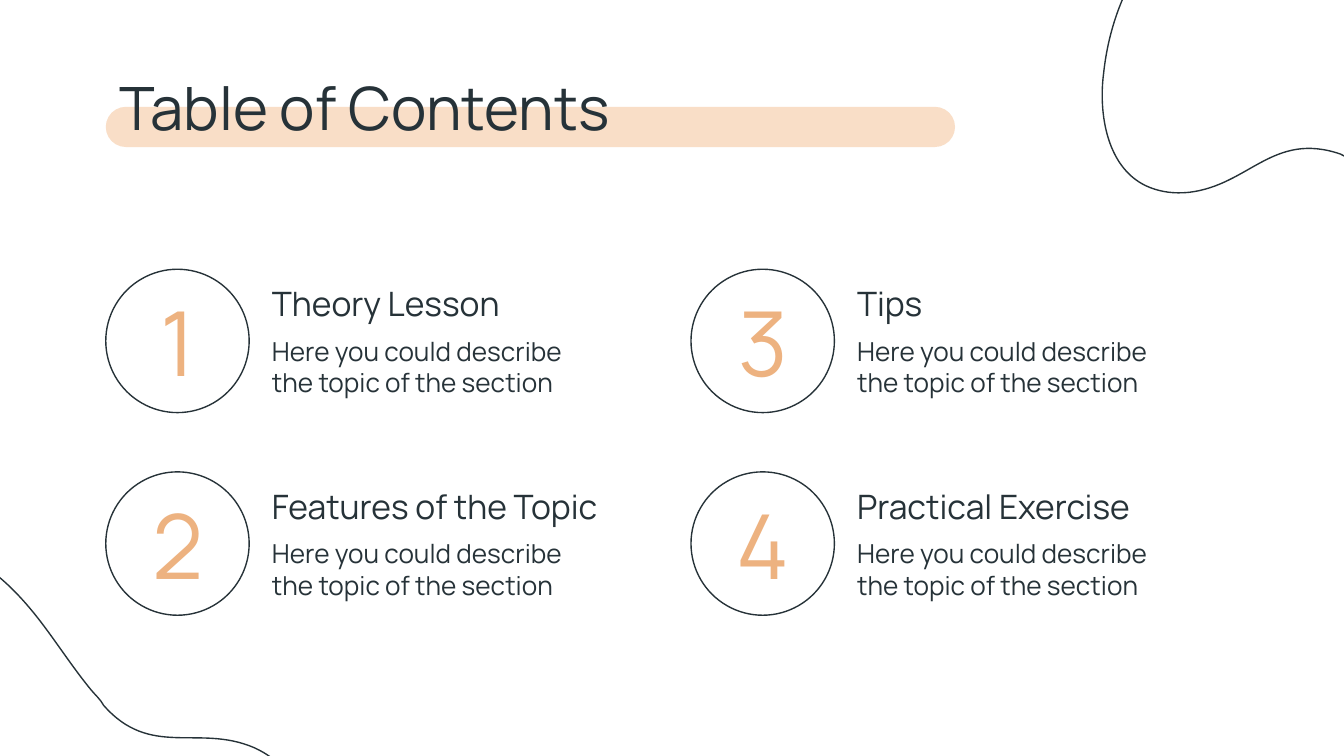
from lxml.etree import SubElement
from pptx import Presentation
from pptx.dml.color import RGBColor
from pptx.enum.shapes import MSO_SHAPE
from pptx.enum.text import MSO_ANCHOR, MSO_AUTO_SIZE, PP_ALIGN
from pptx.oxml.ns import qn
from pptx.util import Cm, Pt

# Content
TITLE = "Table of Contents"
DESCRIPTION = ["Here you could describe", "the topic of the section"]
SECTIONS = ["Theory Lesson", "Features of the Topic", "Tips", "Practical Exercise"]

# Style
FONT = "Manrope"
INK, PEACH, PALE_PEACH = "263238", "EDB280", "F9DEC7"

# Grid, in centimetres: two columns filled downwards
LEFT, TOP = 2.0, 5.09
COLUMN_STEP, ROW_STEP = 11.06, 3.83
ROWS = 2
CIRCLE = 2.71
TEXT_LEFT, TEXT_WIDTH = 2.89, 7.44

# One wavy outline, in hundredths of an inch within its own frame:
# a start point, then cubic curves (two control points and an end point)
WAVE_SIZE = (442, 325)
WAVE_START = (354, 1)
WAVE_CURVES = [
    [(345, 1), (336, 3), (326, 8)],
    [(286, 29), (284, 73), (231, 75)],
    [(226, 74), (221, 75), (215, 75)],
    [(191, 75), (167, 72), (145, 72)],
    [(117, 72), (90, 76), (61, 93)],
    [(11, 120), (0, 160), (11, 206)],
    [(27, 288), (97, 325), (178, 325)],
    [(212, 325), (247, 318), (282, 305)],
    [(392, 262), (443, 166), (417, 68)],
    [(410, 39), (389, 1), (354, 1)],
]
# Left, top (cm) and rotation of each use of the outline
WAVE_PLACES = [(20.75, -3.2, 201), (-5.54, 10.41, 50.9)]


def color(hex_value):
    return RGBColor.from_string(hex_value)


def style_shape(shape, fill=None, line=None):
    shape.shadow.inherit = False
    if fill:
        shape.fill.solid()
        shape.fill.fore_color.rgb = color(fill)
    else:
        shape.fill.background()
    if line:
        shape.line.color.rgb = color(line)
        shape.line.width = Pt(0.75)
    else:
        shape.line.fill.background()


def write(box, place, lines, size, ink=INK, align=PP_ALIGN.LEFT, anchor=MSO_ANCHOR.TOP):
    box.left, box.top, box.width, box.height = [Cm(value) for value in place]
    frame = box.text_frame
    frame.word_wrap = True
    frame.auto_size = MSO_AUTO_SIZE.NONE
    frame.vertical_anchor = anchor
    frame.margin_left = frame.margin_right = Cm(0.25)
    frame.margin_top = frame.margin_bottom = Cm(0.25)
    for index, line in enumerate(lines):
        para = frame.add_paragraph() if index else frame.paragraphs[0]
        properties = para._p.get_or_add_pPr()
        properties.set("marL", "0")
        properties.set("indent", "0")
        SubElement(properties, qn("a:buNone"))
        para.alignment = align
        para.line_spacing = 1.0
        para.space_before = para.space_after = Pt(0)
        span = para.add_run()
        span.text = line
        span.font.name = FONT
        span.font.size = Pt(size)
        span.font.bold = False
        span.font.color.rgb = color(ink)


def add_wave(shapes, left, top, rotation):
    """Build the outline, then turn its straight segments into cubic curves."""
    unit = Cm(0.0254)
    builder = shapes.build_freeform(*WAVE_START, scale=unit)
    builder.add_line_segments([curve[-1] for curve in WAVE_CURVES], close=True)
    wave = builder.convert_to_shape()
    outline = next(wave._element.iter(qn("a:path")))
    for name, length in zip("wh", WAVE_SIZE):
        outline.set(name, str(length))
    start = next(outline.iter(qn("a:pt")))
    for name, value in zip("xy", WAVE_START):
        start.set(name, str(value))
    for segment, curve in zip(outline.findall(qn("a:lnTo")), WAVE_CURVES):
        cubic = outline.makeelement(qn("a:cubicBezTo"), {})
        for x, y in curve:
            SubElement(cubic, qn("a:pt"), x=str(x), y=str(y))
        outline.replace(segment, cubic)
    wave.left, wave.top = Cm(left), Cm(top)
    wave.width, wave.height = [length * unit for length in WAVE_SIZE]
    wave.rotation = rotation
    style_shape(wave, line=INK)
    return wave


deck = Presentation()
deck.slide_width, deck.slide_height = Cm(25.4), Cm(14.29)
page = deck.slides.add_slide(deck.slide_layouts.get_by_name("Comparison"))
shapes = page.shapes
title, *bodies = page.placeholders

# Highlight bar and corner waves, behind the text
bar = shapes.add_shape(MSO_SHAPE.ROUNDED_RECTANGLE,
                       Cm(LEFT), Cm(2.02), Cm(16.05), Cm(0.76))
bar.adjustments[0] = 0.5
style_shape(bar, fill=PALE_PEACH)
waves = [add_wave(shapes, *place) for place in WAVE_PLACES]
for decoration in [bar, *waves]:
    title._element.addprevious(decoration._element)

write(title, (LEFT, 1.08, 21.41, 1.7), [TITLE], 32)

# Numbered sections
for index, (heading, body) in enumerate(zip(SECTIONS, bodies)):
    column, row = divmod(index, ROWS)
    left, top = LEFT + column * COLUMN_STEP, TOP + row * ROW_STEP
    circle = shapes.add_shape(MSO_SHAPE.OVAL, Cm(left), Cm(top), Cm(CIRCLE), Cm(CIRCLE))
    style_shape(circle, line=INK)
    number = shapes.add_textbox(0, 0, 0, 0)
    write(number, (left + 0.13, top + 0.37, 2.46, 1.96), [str(index + 1)], 48,
          PEACH, PP_ALIGN.CENTER, MSO_ANCHOR.MIDDLE)
    name = shapes.add_textbox(0, 0, 0, 0)
    write(name, (left + TEXT_LEFT, top + 0.01, TEXT_WIDTH, 1.04), [heading], 18)
    write(body, (left + TEXT_LEFT, top + 0.99, TEXT_WIDTH, 1.7), DESCRIPTION, 14)

deck.save("out.pptx")
